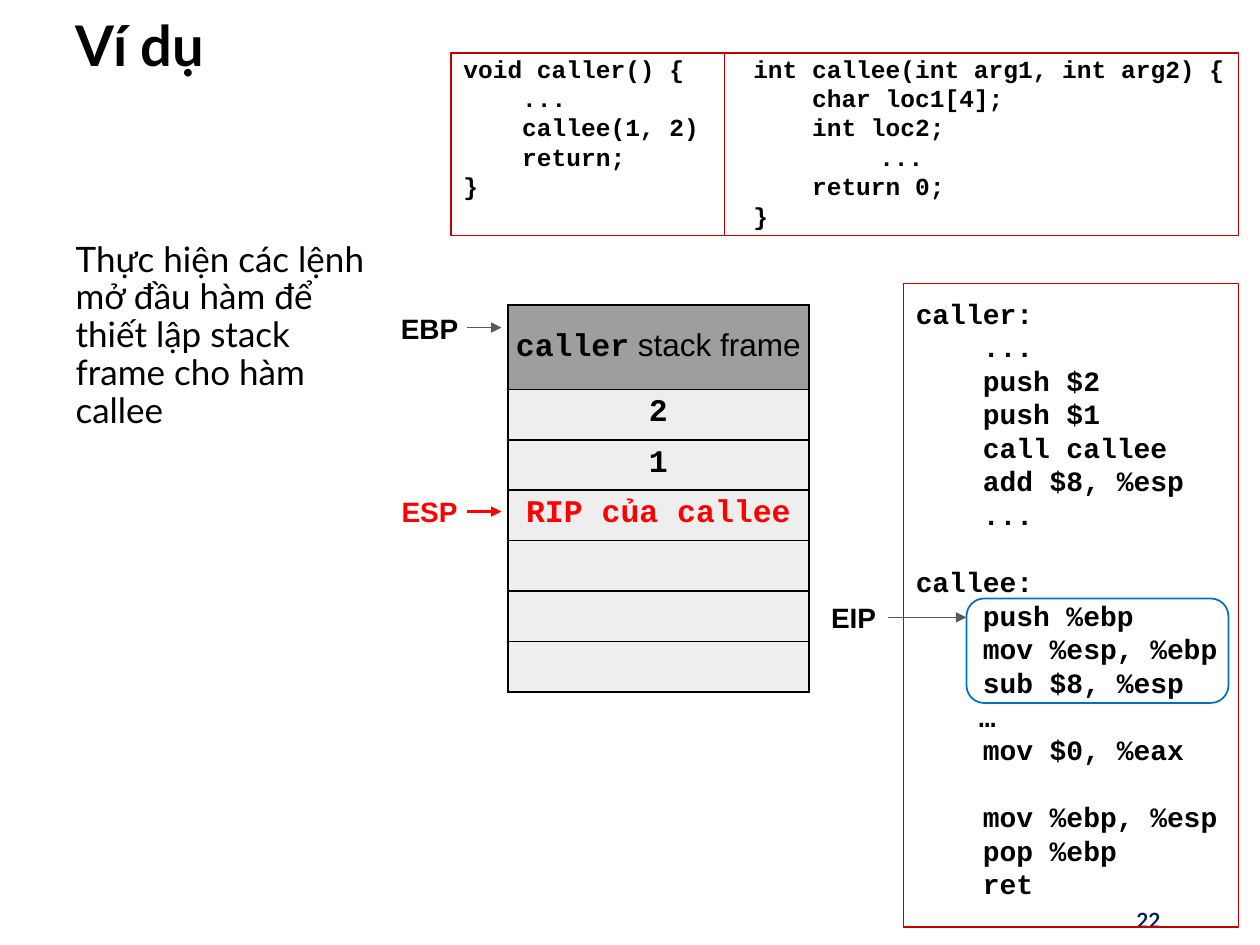
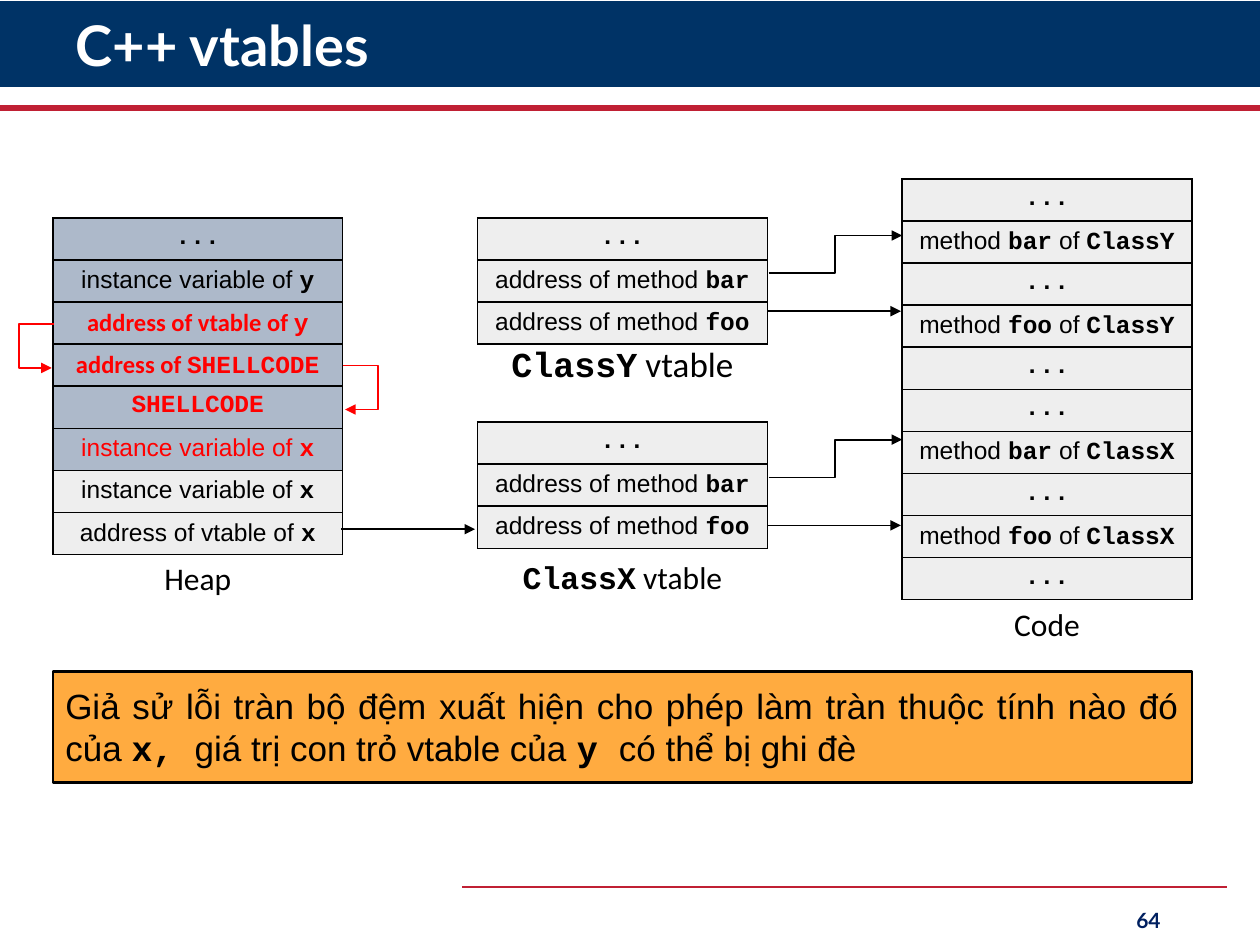
from lxml.etree import SubElement
from pptx import Presentation
from pptx.dml.color import RGBColor
from pptx.enum.shapes import MSO_CONNECTOR, MSO_SHAPE
from pptx.enum.text import MSO_ANCHOR, PP_ALIGN
from pptx.oxml import parse_xml
from pptx.oxml.ns import nsdecls, qn
from pptx.util import Emu, Inches, Pt

COLORS = {
    "black": "000000", "white": "FFFFFF", "navy": "003366", "crimson": "C02034",
    "number": "002060", "frame": "C00000", "red": "FF0000", "blue": "0070C0",
    "gray": "595959", "caller": "9E9E9E", "cell": "EEEEEE", "overflow": "ADB9CA",
    "note": "FFAB40",
}
MONO, SANS, BODY, HEAD = "Courier New", "Arial", "Calibri", "Lato"
COLUMNS, ROWS = 100, 75
CELL = Inches(10) / COLUMNS


def grid(*counts):
    """Turn grid columns or rows into lengths."""
    return [Emu(round(n * CELL)) for n in counts]


def rgb(name):
    """Look up a colour by name."""
    return RGBColor.from_string(COLORS[name])


def mono(text, color="black"):
    """Describe a bold code run."""
    return text, MONO, True, color


def sans(text, color="black"):
    """Describe a plain run."""
    return text, SANS, False, color


def fill_paragraph(p, runs, size, align=PP_ALIGN.LEFT):
    """Add the described runs to a paragraph."""
    p.alignment = align
    for text, font, bold, color in runs:
        r = p.add_run()
        r.text = text
        r.font.name, r.font.size, r.font.bold = font, Pt(size), bold
        r.font.color.rgb = rgb(color)


def set_frame(tf, inset, anchor=MSO_ANCHOR.TOP):
    """Set wrapping, insets in inches and anchor of a text frame."""
    tf.word_wrap = True
    tf.margin_left = tf.margin_right = tf.margin_top = tf.margin_bottom = Inches(inset)
    tf.vertical_anchor = anchor


def add_text(slide, box, runs, size, align=PP_ALIGN.CENTER, inset=0.1, anchor=MSO_ANCHOR.TOP):
    """Add a one-paragraph text box."""
    tf = slide.shapes.add_textbox(*grid(*box)).text_frame
    set_frame(tf, inset, anchor)
    fill_paragraph(tf.paragraphs[0], runs, size, align)


def add_code(tf, blocks, size):
    """Write code lines, with one line of space between blocks."""
    set_frame(tf, 0.1)
    p = tf.paragraphs[0]
    for b, block in enumerate(blocks):
        for n, line in enumerate(block.split("\n")):
            if b or n:
                p = tf.add_paragraph()
            if b and not n:
                p.space_before = Pt(size * 1.2)
            fill_paragraph(p, [mono(line)], size)


def add_box(slide, box, fill=None, line=None, width=1, kind=MSO_SHAPE.RECTANGLE):
    """Add a flat preset shape."""
    sp = slide.shapes.add_shape(kind, *grid(*box))
    sp.shadow.inherit = False
    if fill:
        sp.fill.solid()
        sp.fill.fore_color.rgb = rgb(fill)
    else:
        sp.fill.background()
    if line:
        sp.line.color.rgb, sp.line.width = rgb(line), Pt(width)
    else:
        sp.line.fill.background()
    return sp


def style_line(sp, color, width, arrow):
    """Colour a line and give it an arrowhead if asked."""
    sp.line.color.rgb, sp.line.width = rgb(color), Pt(width)
    if arrow:
        SubElement(sp.line._get_or_add_ln(), qn("a:tailEnd"), type="triangle")


def add_line(slide, ends, color="black", width=1, arrow=True, kind=MSO_CONNECTOR.STRAIGHT):
    """Add a connector between two grid points."""
    c = slide.shapes.add_connector(kind, *grid(*ends))
    style_line(c, color, width, arrow)
    SubElement(c._element.spPr, qn("a:effectLst"))
    return c


def add_hook(slide, x, y, reach, back):
    """Add a red hook arrow that leaves a cell and returns one row lower."""
    points = [(x + reach, y), (x + reach, y + 3.5), (x + back, y + 3.5)]
    fb = slide.shapes.build_freeform(*grid(x, y), scale=1.0)
    fb.add_line_segments([grid(*pt) for pt in points], close=False)
    sp = fb.convert_to_shape()
    sp.shadow.inherit = False
    sp.fill.background()
    style_line(sp, "red", 1, True)


def add_stack(slide, left, top, width, heights, cells, fills, size):
    """Draw a one-column memory table with black cell borders."""
    box = grid(left, top, width, sum(heights))
    table = slide.shapes.add_table(len(cells), 1, *box).table
    table.first_row = table.horz_banding = False
    for i, (height, runs, fill) in enumerate(zip(heights, cells, fills)):
        table.rows[i].height = grid(height)[0]
        cell = table.cell(i, 0)
        cell.margin_left = cell.margin_right = Inches(0.05)
        cell.margin_top = cell.margin_bottom = Inches(0.05)
        cell.vertical_anchor = MSO_ANCHOR.MIDDLE if fill == "caller" else MSO_ANCHOR.TOP
        cell.fill.solid()
        cell.fill.fore_color.rgb = rgb(fill)
        fill_paragraph(cell.text_frame.paragraphs[0], runs, size, PP_ALIGN.CENTER)
        for n, side in enumerate("LRTB"):
            cell._tc.get_or_add_tcPr().insert(n, parse_xml(
                f'<a:ln{side} {nsdecls("a")} w="12700"><a:solidFill>'
                f'<a:srgbClr val="{COLORS["black"]}"/></a:solidFill></a:ln{side}>'))


def start_slide(prs, layout, title, color, number):
    """Add a slide with its title and page number."""
    slide = prs.slides.add_slide(layout)
    sp = slide.shapes.title
    sp.left, sp.top, sp.width, sp.height = grid(5, 0.8, 88.1, 6.1)
    sp.text_frame.vertical_anchor = MSO_ANCHOR.MIDDLE
    p = sp.text_frame.paragraphs[0]
    p.line_spacing = 0.9
    fill_paragraph(p, [(title, HEAD, True, color)], 32)
    add_text(slide, (70.6, 71, 22.5, 4), [(number, HEAD, True, "number")], 12,
             PP_ALIGN.RIGHT, anchor=MSO_ANCHOR.MIDDLE)
    return slide


def add_bands(slide):
    """Put the title band and the rules on the slide's layout."""
    bands = [add_box(slide, (0, 0.1, COLUMNS, 6.8), "navy"),
             add_line(slide, (0, 8.6, COLUMNS, 8.6), "crimson", 3.5, False),
             add_line(slide, (36.7, 70.4, 97.4, 70.4), "crimson", 1.5, False)]
    for n, sp in enumerate(bands):
        slide.slide_layout.shapes._spTree.insert(2 + n, sp._element)


def add_body(slide, box, text):
    """Fill the body placeholder with an unbulleted paragraph."""
    sp = slide.placeholders[1]
    sp.left, sp.top, sp.width, sp.height = grid(*box)
    p = sp.text_frame.paragraphs[0]
    pPr = p._p.get_or_add_pPr()
    pPr.set("marL", "0")
    pPr.set("indent", "0")
    SubElement(pPr, qn("a:buNone"))
    p.line_spacing, p.space_before = 0.9, Pt(0)
    fill_paragraph(p, [(text, HEAD, False, "black")], 20)


def add_sources(slide, left, top, width, height):
    """Draw the framed pair of C functions."""
    split = left + 21.7
    caller = "void caller() {\n    ...\n    callee(1, 2)\n    return;\n}"
    callee = ("int callee(int arg1, int arg2) {\n    char loc1[4];\n    int loc2;\n"
              "\t\t...\n    return 0;\n}")
    for x, w, code in ((left, 25, caller), (split + 1.3, 40.2, callee)):
        sp = slide.shapes.add_textbox(*grid(x, top - 0.95, w, height + 1.7))
        add_code(sp.text_frame, [code], 14)
    add_box(slide, (left, top, width, height), line="frame")
    add_line(slide, (split, top, split, top + height), "frame", arrow=False)


def add_assembly(slide, left, top, width, height):
    """Draw the assembly listing and mark the prologue."""
    sp = add_box(slide, (left, top, width, height), line="frame")
    add_code(sp.text_frame, [
        "caller:\n    ...\n    push $2\n    push $1\n    call callee\n    add $8, %esp\n    ...",
        "callee:\n    push %ebp\n    mov %esp, %ebp\n    sub $8, %esp\n\t…\n    mov $0, %eax",
        "    mov %ebp, %esp\n    pop %ebp\n    ret"], 16)
    mark = add_box(slide, (left + 5, top + 25, 20.8, 8.3), line="blue",
                   kind=MSO_SHAPE.ROUNDED_RECTANGLE)
    mark.adjustments[0] = 0.17


def add_register(slide, name, left, middle, width, reach, color="black", line="gray", weight=0.75):
    """Draw a register name with its pointer arrow."""
    add_text(slide, (left, middle - 1.8, width, 3.7), [(name, SANS, True, color)], 16, inset=0.05)
    start = left + width
    add_line(slide, (start, middle, start + reach, middle), line, weight)


def build_stack_slide(prs):
    """Build the slide on the callee's prologue."""
    slide = start_slide(prs, prs.slide_layouts[1], "Ví dụ", "black", "22")
    add_body(slide, (5, 18.7, 25.6, 52.1),
             "Thực hiện các lệnh mở đầu hàm để thiết lập stack frame cho hàm callee")
    add_assembly(slide, 71.7, 22.5, 26.6, 51.1)
    add_sources(slide, 35.8, 4.2, 62.5, 14.5)
    cells = [[mono("caller"), sans(" stack frame")], [mono("2")], [mono("1")],
             [mono("RIP của callee", "red")], [], [], []]
    add_stack(slide, 40.3, 24.2, 23.9, [6.7] + [4] * 6, cells, ["caller"] + ["cell"] * 6, 18)
    add_register(slide, "EBP", 31.1, 26, 6, 2.7)
    add_register(slide, "ESP", 31.1, 40.6, 6, 2.7, "red", "red", 1.5)
    add_register(slide, "EIP", 65, 49, 5.5, 6.2)


def add_memory(slide, left, top, cells, overflowed=0):
    """Draw a memory region of equal rows."""
    fills = ["overflow"] * overflowed + ["cell"] * (len(cells) - overflowed)
    add_stack(slide, left, top, 23, [10 / 3] * len(cells), cells, fills, 14)


def add_vtable(slide, left, top, name, label_top, label_size):
    """Draw a class vtable with its label and arrows to the code."""
    address = sans("address of method ")
    add_memory(slide, left, top, [[mono("...")], [address, mono("bar")], [address, mono("foo")]])
    add_text(slide, (left, label_top, 23, 5),
             [mono(name), (" vtable", BODY, False, "black")], label_size)
    right = left + 23.1
    add_line(slide, (right, top + 4.4, right + 10.6, top + 1.4), kind=MSO_CONNECTOR.ELBOW)


def build_vtable_slide(prs):
    """Build the slide on overwriting vtable pointers."""
    slide = start_slide(prs, prs.slide_layouts[5], "C++ vtables", "white", "64")
    add_bands(slide)
    heap, tables, code = 4.2, 37.9, 71.6
    dots = [mono("...")]
    variable, pointer = "instance variable of ", "address of vtable of "
    shell = mono("SHELLCODE", "red")
    add_memory(slide, heap, 17.3, [
        dots, [sans(variable), mono("y")],
        [(pointer, BODY, True, "red"), mono("y", "red")],
        [("address of ", BODY, True, "red"), shell], [shell],
        [sans(variable, "red"), mono("x", "red")],
        [sans(variable), mono("x")], [sans(pointer), mono("x")]], 6)
    add_vtable(slide, tables, 17.3, "ClassY", 26.2, 20)
    add_vtable(slide, tables, 33.5, "ClassX", 43.3, 18)
    bar_y, foo_y, bar_x, foo_x = [
        [sans("method "), mono(method), sans(" of "), mono(owner)]
        for owner in ("ClassY", "ClassX") for method in ("bar", "foo")]
    add_memory(slide, code, 14.2,
               [dots, bar_y, dots, foo_y, dots, dots, bar_x, dots, foo_x, dots])
    for left, top, label in ((heap, 43.4, "Heap"), (code, 47, "Code")):
        add_text(slide, (left, top, 23, 5), [(label, BODY, False, "black")], 18)
    for x, y in ((27.1, 42), (60.9, 24.7), (60.9, 41.7)):
        add_line(slide, (x, y, x + 10.6, y))
    add_hook(slide, heap + 0.1, 25.7, -2.8, -0.2)
    add_hook(slide, heap + 23, 29, 2.8, 0.2)
    note = add_box(slide, (heap, 53.3, 90.4, 8.8), "note", "black", 1.5)
    set_frame(note.text_frame, 0.1)
    fill_paragraph(note.text_frame.paragraphs[0], [
        sans("Giả sử lỗi tràn bộ đệm xuất hiện cho phép làm tràn thuộc tính nào đó của "),
        mono("x, "), sans("giá trị con trỏ vtable của "), mono("y "),
        sans("có thể bị ghi đè")], 20, PP_ALIGN.JUSTIFY)


def main():
    """Build and save the presentation."""
    prs = Presentation()
    prs.slide_width, prs.slide_height = grid(COLUMNS, ROWS)
    build_stack_slide(prs)
    build_vtable_slide(prs)
    prs.save("out.pptx")


if __name__ == "__main__":
    main()
